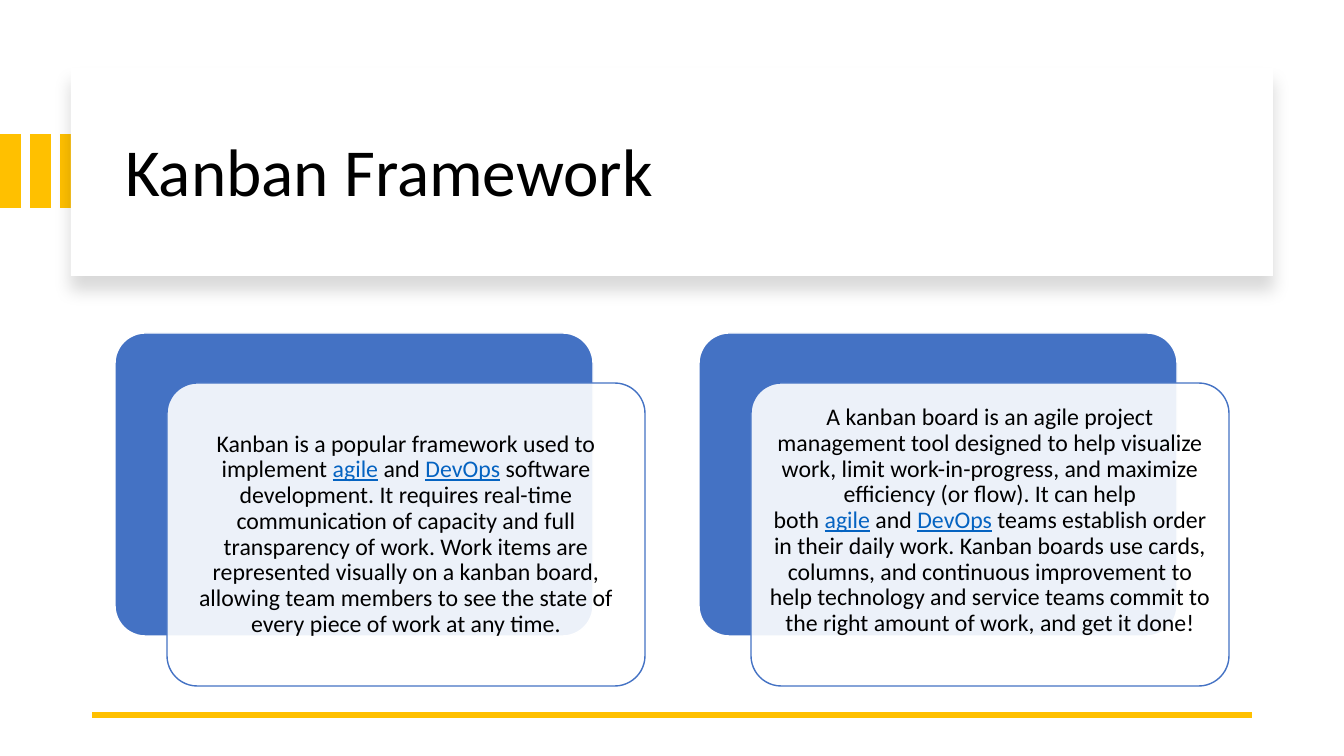
"""Build the Kanban Framework slide."""
from dataclasses import dataclass

from lxml.etree import SubElement
from pptx import Presentation
from pptx.dml.color import RGBColor
from pptx.enum.shapes import MSO_CONNECTOR, MSO_SHAPE
from pptx.enum.text import MSO_ANCHOR, PP_ALIGN
from pptx.oxml import parse_xml
from pptx.oxml.ns import qn
from pptx.util import Pt

NBSP = chr(160)
TITLE = "Kanban Framework"
LINKS = ("agile", "DevOps")
CARDS = [
    {
        "before": "Kanban is a popular framework used to implement",
        "after": "software development. It requires real-time communication of "
                 "capacity and full transparency of work. Work items are "
                 "represented visually on a kanban board, allowing team members "
                 "to see the state of every piece of work at any time.",
        "bottom": 7,
    },
    {
        "before": "A kanban board is an agile project management tool designed to "
                  "help visualize work, limit work-in-progress, and maximize "
                  "efficiency (or flow). It can help both",
        "after": "teams establish order in their daily work. Kanban boards use "
                 "cards, columns, and continuous improvement to help technology "
                 "and service teams commit to the right amount of work, and get "
                 "it done!",
        "bottom": 34,
    },
]


@dataclass(frozen=True)
class Theme:
    """Hold the font, type sizes and colours."""
    font: str = "Calibri"
    title_size: int = 48
    body_size: int = 17
    text: str = "000000"
    link: str = "0563C1"
    white: str = "FFFFFF"
    blue: str = "4472C4"
    gold: str = "FFC000"


THEME = Theme()
SLIDE_WIDTH, SLIDE_HEIGHT = 1344, 756
BAR_COUNT, BAR_STEP, BAR_TOP, BAR_WIDTH, BAR_HEIGHT = 3, 30, 134, 21, 74
BANNER = (71, 68, 1202, 208)
TITLE_BOX = (115, 89, 1122, 171)
RULE_LEFT, RULE_RIGHT, RULE_Y = 92, 1252, 715
CARD_LEFT, CARD_TOP, CARD_WIDTH, CARD_HEIGHT = 115, 333, 478, 303
CARD_STEP, OVERLAP_X, OVERLAP_Y = 584, 52, 50
INSET = 7
SHADOW = (
    '<a:effectLst xmlns:a="http://schemas.openxmlformats.org/drawingml/2006/main">'
    '<a:outerShdw blurRad="139700" dist="127000" dir="5400000" algn="t" rotWithShape="0">'
    '<a:srgbClr val="000000"><a:alpha val="15000"/></a:srgbClr>'
    "</a:outerShdw></a:effectLst>"
)


def px(length):
    """Turn pixels into EMU."""
    return round(length * 914400 / 100.8)


def color(value):
    """Turn a hex string into a colour."""
    return RGBColor.from_string(value)


def add_box(slide, kind, box, fill, line=None, alpha=None):
    """Add a filled shape with an optional outline and opacity."""
    shape = slide.shapes.add_shape(kind, *map(px, box))
    shape.shadow.inherit = False
    shape.fill.solid()
    shape.fill.fore_color.rgb = color(fill)
    if alpha is not None:
        color_element = shape.element.spPr.find(qn("a:solidFill"))[0]
        SubElement(color_element, qn("a:alpha"), val=str(alpha * 1000))
    if line:
        shape.line.color.rgb = color(line)
        shape.line.width = Pt(1)
    else:
        shape.line.fill.background()
    if kind == MSO_SHAPE.ROUNDED_RECTANGLE:
        shape.adjustments[0] = 0.1
    return shape


def write_text(shape, runs, *, size, align, insets=None):
    """Write one paragraph of runs, styling the linked words."""
    frame = shape.text_frame
    frame.word_wrap = True
    frame.vertical_anchor = MSO_ANCHOR.MIDDLE
    if insets:
        (frame.margin_left, frame.margin_top,
         frame.margin_right, frame.margin_bottom) = map(px, insets)
    paragraph = frame.paragraphs[0]
    paragraph.alignment = align
    paragraph.line_spacing = 0.9
    for text in runs:
        run = paragraph.add_run()
        run.text = text
        run.font.name = THEME.font
        run.font.size = Pt(size)
        run.font.underline = text in LINKS
        run.font.color.rgb = color(THEME.link if text in LINKS else THEME.text)


def add_header(slide):
    """Add the gold bars, the raised banner and the title."""
    for index in range(BAR_COUNT):
        bar = (index * BAR_STEP, BAR_TOP, BAR_WIDTH, BAR_HEIGHT)
        add_box(slide, MSO_SHAPE.RECTANGLE, bar, THEME.gold)
    banner = add_box(slide, MSO_SHAPE.RECTANGLE, BANNER, THEME.white)
    properties = banner.element.spPr
    properties.replace(properties.find(qn("a:effectLst")), parse_xml(SHADOW))
    title = slide.shapes.title
    title.left, title.top, title.width, title.height = map(px, TITLE_BOX)
    write_text(title, [TITLE], size=THEME.title_size, align=PP_ALIGN.LEFT)
    title.element.getparent().append(title.element)


def add_rule(slide):
    """Add the gold line along the bottom."""
    rule = slide.shapes.add_connector(
        MSO_CONNECTOR.STRAIGHT, px(RULE_RIGHT), px(RULE_Y), px(RULE_LEFT), px(RULE_Y))
    rule.line.color.rgb = color(THEME.gold)
    rule.line.width = Pt(4.5)
    SubElement(rule.element.spPr, qn("a:effectLst"))


def add_card(slide, index, card):
    """Add a blue panel and the translucent text panel over it."""
    left = CARD_LEFT + index * CARD_STEP
    back = (left, CARD_TOP, CARD_WIDTH, CARD_HEIGHT)
    front = (left + OVERLAP_X, CARD_TOP + OVERLAP_Y, CARD_WIDTH, CARD_HEIGHT)
    add_box(slide, MSO_SHAPE.ROUNDED_RECTANGLE, back, THEME.blue, THEME.white)
    panel = add_box(slide, MSO_SHAPE.ROUNDED_RECTANGLE, front, THEME.white,
                    THEME.blue, alpha=90)
    first_link, second_link = LINKS
    runs = [card["before"] + NBSP, first_link, f"{NBSP}and{NBSP}", second_link,
            NBSP + card["after"]]
    write_text(panel, runs, size=THEME.body_size, align=PP_ALIGN.CENTER,
               insets=(INSET, INSET, INSET, card["bottom"]))


def main():
    """Build and save the presentation."""
    presentation = Presentation()
    presentation.slide_width = px(SLIDE_WIDTH)
    presentation.slide_height = px(SLIDE_HEIGHT)
    slide = presentation.slides.add_slide(presentation.slide_layouts[5])
    add_header(slide)
    add_rule(slide)
    for index, card in enumerate(CARDS):
        add_card(slide, index, card)
    presentation.save("out.pptx")


if __name__ == "__main__":
    main()
